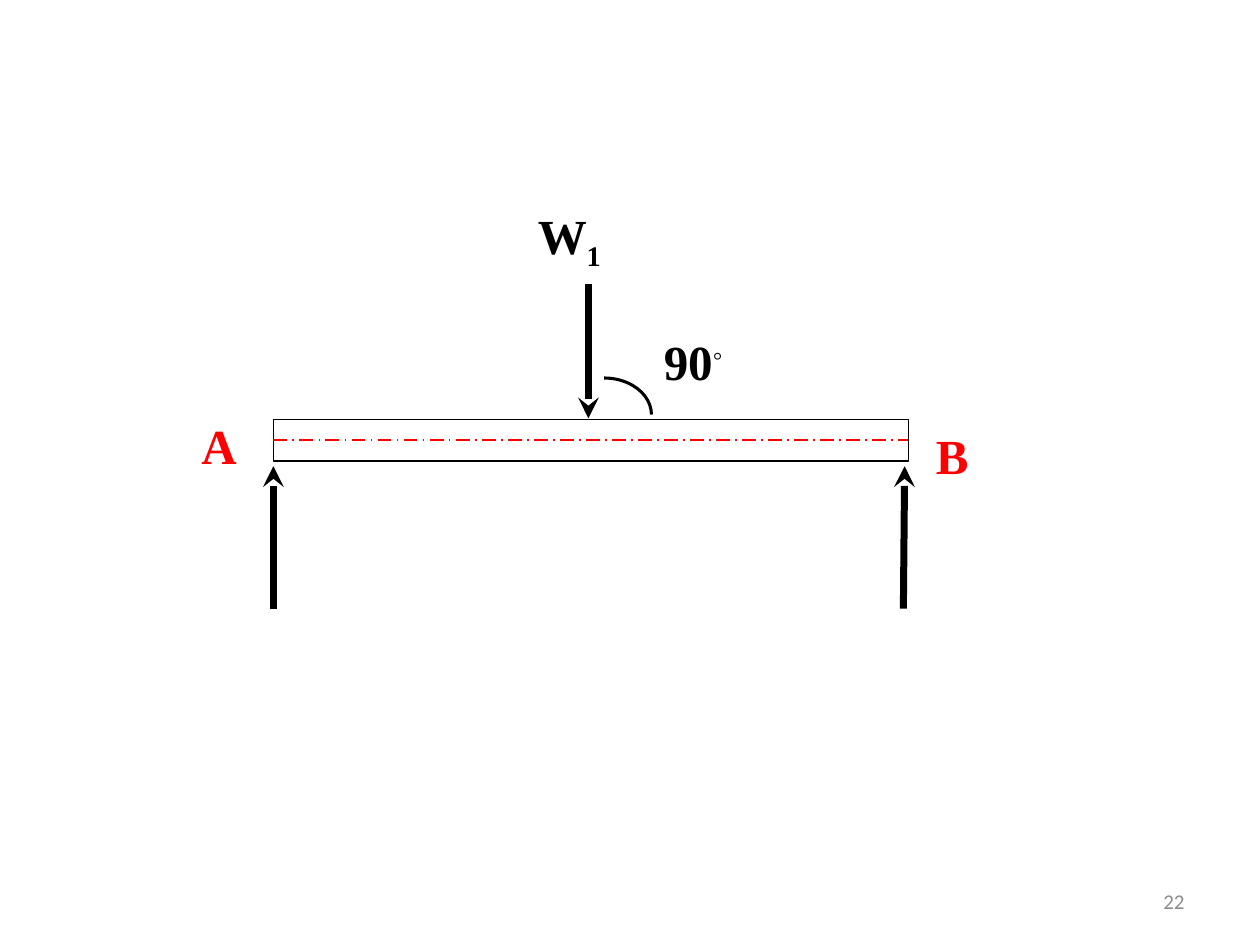
from lxml import etree
from pptx import Presentation
from pptx.dml.color import RGBColor
from pptx.enum import dml, shapes, text
from pptx.oxml import ns
from pptx.util import Inches, Pt

BLACK, RED, WHITE, GREY = "000000", "FF0000", "FFFFFF", "8C8C8C"


def color(value):
    return RGBColor.from_string(value)


def add_line(s, x1, y1, x2, y2, hue, width, arrow=False):
    line = s.shapes.add_connector(
        shapes.MSO_CONNECTOR.STRAIGHT, Inches(x1), Inches(y1), Inches(x2), Inches(y2))
    line.line.color.rgb = color(hue)
    line.line.width = Pt(width)
    etree.SubElement(line._element.spPr, ns.qn("a:effectLst"))
    if arrow:
        etree.SubElement(line.line._get_or_add_ln(), ns.qn("a:tailEnd"), type="stealth")
    return line


def add_shape(s, kind, x, y, w, h, width):
    sp = s.shapes.add_shape(kind, Inches(x), Inches(y), Inches(w), Inches(h))
    sp.shadow.inherit = False
    sp.fill.background()
    sp.line.color.rgb = color(BLACK)
    sp.line.width = Pt(width)
    return sp


def add_label(s, x, y, w, h, runs, hue=BLACK, font="Times New Roman", size=28, bold=True):
    tf = s.shapes.add_textbox(Inches(x), Inches(y), Inches(w), Inches(h)).text_frame
    tf.word_wrap = True
    p = tf.paragraphs[0]
    for content, baseline in runs:
        r = p.add_run()
        r.text = content
        r.font.name, r.font.size, r.font.bold = font, Pt(size), bold
        r.font.color.rgb = color(hue)
        if baseline:
            r._r.get_or_add_rPr().set("baseline", str(baseline * 1000))
    return tf


def draw_beam(s, x, y, w, h):
    beam = add_shape(s, shapes.MSO_SHAPE.RECTANGLE, x, y, w, h, 0.75)
    beam.fill.solid()
    beam.fill.fore_color.rgb = color(WHITE)

    base, tip = y + 1.5, y + 0.37
    add_line(s, x, base, x, tip, BLACK, 4, arrow=True)
    add_line(s, x + 5, base, x + 5.01, tip, BLACK, 4, arrow=True)
    add_line(s, x + 2.5, y - 1.08, x + 2.5, y - 0.01, BLACK, 4, arrow=True)

    add_label(s, x + 2, y - 1.75, 0.83, 0.57, [("W", 0), ("1", -25)])
    add_label(s, x - 0.67, y - 0.08, 0.5, 0.57, [("A", 0)], RED)
    add_label(s, x + w + 0.12, y, 0.5, 0.57, [("B", 0)], RED)

    middle = y + h / 2
    axis = add_line(s, x, middle, x + w, middle, RED, 1)
    axis.line.dash_style = dml.MSO_LINE.LONG_DASH_DOT
    axis.begin_connect(beam, 1)
    axis.end_connect(beam, 3)


def draw_angle(s, x, y):
    add_shape(s, shapes.MSO_SHAPE.ARC, x, y, 0.75, 0.58, 1.75)
    add_label(s, x + 0.75, y - 0.42, 0.83, 0.57, [("90", 0), ("◦", 30)])


def draw_slide_number(s, x, y, w, h):
    tf = add_label(s, x, y, w, h, [("22", 0)], GREY, "Calibri", 12, False)
    tf.vertical_anchor = text.MSO_ANCHOR.MIDDLE
    tf.paragraphs[0].alignment = text.PP_ALIGN.RIGHT


def main():
    prs = Presentation()
    prs.slide_width, prs.slide_height = Inches(10), Inches(7.5)
    s = prs.slides.add_slide(prs.slide_layouts[6])
    draw_beam(s, 2.17, 3.33, 5.04, 0.33)
    draw_angle(s, 4.42, 3)
    draw_slide_number(s, 7.17, 6.95, 2.33, 0.4)
    prs.save("out.pptx")


if __name__ == "__main__":
    main()
